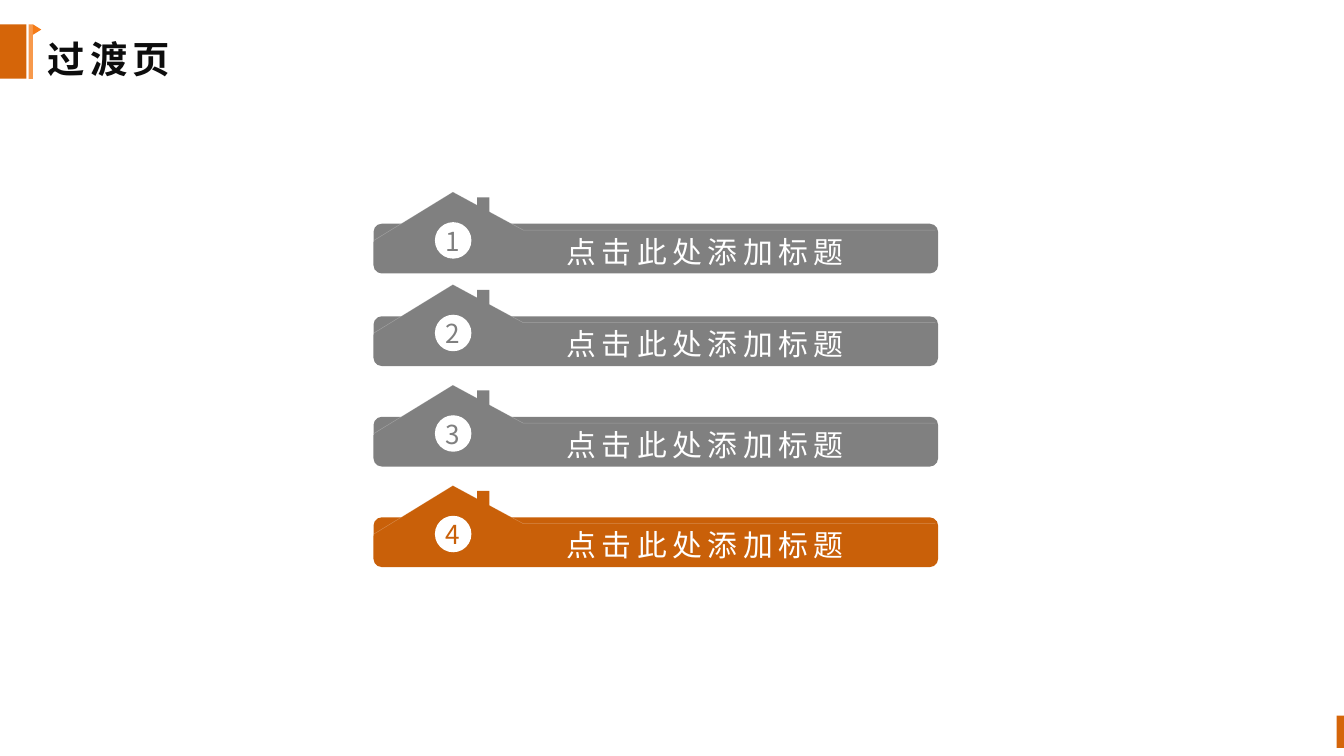
from lxml.etree import SubElement
from pptx import Presentation
from pptx.dml.color import RGBColor
from pptx.enum.shapes import MSO_CONNECTOR as Connector, MSO_SHAPE as Preset
from pptx.enum.text import MSO_AUTO_SIZE as AutoSize, PP_ALIGN as Align
from pptx.oxml.ns import qn
from pptx.util import Cm, Pt

# Content: number, label, top of the bar in cm, house colour, number colour
TITLE = "过渡页"
ROWS = [
    ("1", "点击此处添加标题", 4.23, "gray", "number"),
    ("2", "点击此处添加标题", 5.98, "gray", "number"),
    ("3", "点击此处添加标题", 7.88, "gray", "number"),
    ("4", "点击此处添加标题", 9.78, "active", "active"),
]
COLORS = {
    "white": "FFFFFF", "title": "0D0D0D", "gray": "808080", "number": "7F7F7F",
    "active": "C96009", "accent": "D56509", "bright": "F57B17",
}
FONT = "Noto Sans CJK SC"
BAR_LEFT = 7.06
# Roof outline: x on the slide, y from the top of the bar
ROOF = [(BAR_LEFT, 0.32), (8.56, -0.6), (9.89, 0.12), (17.68, 0.12)]

presentation = Presentation()
presentation.slide_width, presentation.slide_height = Cm(25.4), Cm(14.29)
slide = presentation.slides.add_slide(presentation.slide_layouts[6])


def color(name):
    return RGBColor.from_string(COLORS[name])


def set_alpha(element, percent):
    """Make the colour of a solid fill inside the element translucent."""
    rgb = element.find(".//" + qn("a:srgbClr"))
    SubElement(rgb, qn("a:alpha"), val=str(percent * 1000))


def paint(shape, fill):
    shape.shadow.inherit = False
    shape.fill.solid()
    shape.fill.fore_color.rgb = color(fill)
    shape.line.fill.background()


def add_block(container, preset, left, top, width, height, fill):
    shape = container.add_shape(preset, Cm(left), Cm(top), Cm(width), Cm(height))
    paint(shape, fill)
    return shape


def add_text(container, left, top, width, height, text, size, fill,
             bold=False, spacing=0, align=Align.LEFT):
    box = container.add_textbox(Cm(left), Cm(top), Cm(width), Cm(height))
    frame = box.text_frame
    frame.word_wrap = True
    frame.auto_size = AutoSize.SHAPE_TO_FIT_TEXT
    paragraph = frame.paragraphs[0]
    paragraph.alignment = align
    run = paragraph.add_run()
    run.text = text
    run.font.size, run.font.bold, run.font.name = Pt(size), bold, FONT
    run.font.color.rgb = color(fill)
    properties = run.font._element
    SubElement(properties, qn("a:ea"), typeface=FONT)
    if spacing:
        properties.set("spc", str(spacing * 100))


def add_roof(container, top, fill):
    points = [(Cm(x), Cm(top + y)) for x, y in ROOF]
    builder = container.build_freeform(*points[0])
    builder.add_line_segments(points[1:], close=False)
    roof = builder.convert_to_shape()
    paint(roof, fill)
    roof.line.color.rgb = color("white")
    roof.line.width = Pt(0.25)
    set_alpha(roof.line._ln, 25)


# Backdrop and page marks
shapes = slide.shapes
backdrop = add_block(shapes, Preset.RECTANGLE, 0, 0, 25.4, 14.29, "white")
set_alpha(backdrop.fill._xPr.find(qn("a:solidFill")), 77)
add_block(shapes, Preset.RECTANGLE, 0, 0.46, 0.5, 1.03, "accent")
stripe = shapes.add_connector(Connector.STRAIGHT, Cm(0.58), Cm(0.46), Cm(0.58), Cm(1.49))
stripe.line.color.rgb = color("bright")
stripe.line.width = Pt(2.25)
set_alpha(stripe.line._ln, 77)
SubElement(stripe._element.spPr, qn("a:effectLst"))
add_block(shapes, Preset.RECTANGLE, 25.26, 13.53, 0.14, 0.61, "accent")
flag = add_block(shapes, Preset.ISOSCELES_TRIANGLE, 0.6, 0.48, 0.2, 0.16, "bright")
flag.rotation = 90

# Title
add_text(shapes, 0.64, 0.56, 3.48, 1.12, TITLE, 20, "title", bold=True, spacing=3)

# House-shaped rows
for number, label, top, house, number_color in ROWS:
    group = shapes.add_group_shape().shapes
    add_block(group, Preset.ROUNDED_RECTANGLE, BAR_LEFT, top, 10.67, 0.94, house)
    add_roof(group, top, house)
    add_block(group, Preset.RECTANGLE, 9.02, top - 0.5, 0.23, 0.33, house)
    add_text(group, 10.46, top + 0.06, 9.45, 0.94, label, 16, "white", spacing=3)
    add_block(group, Preset.OVAL, 8.22, top - 0.03, 0.69, 0.69, "white")
    add_text(group, 8.07, top - 0.1, 0.99, 0.86, number, 14, number_color,
             align=Align.CENTER)

presentation.save("out.pptx")
